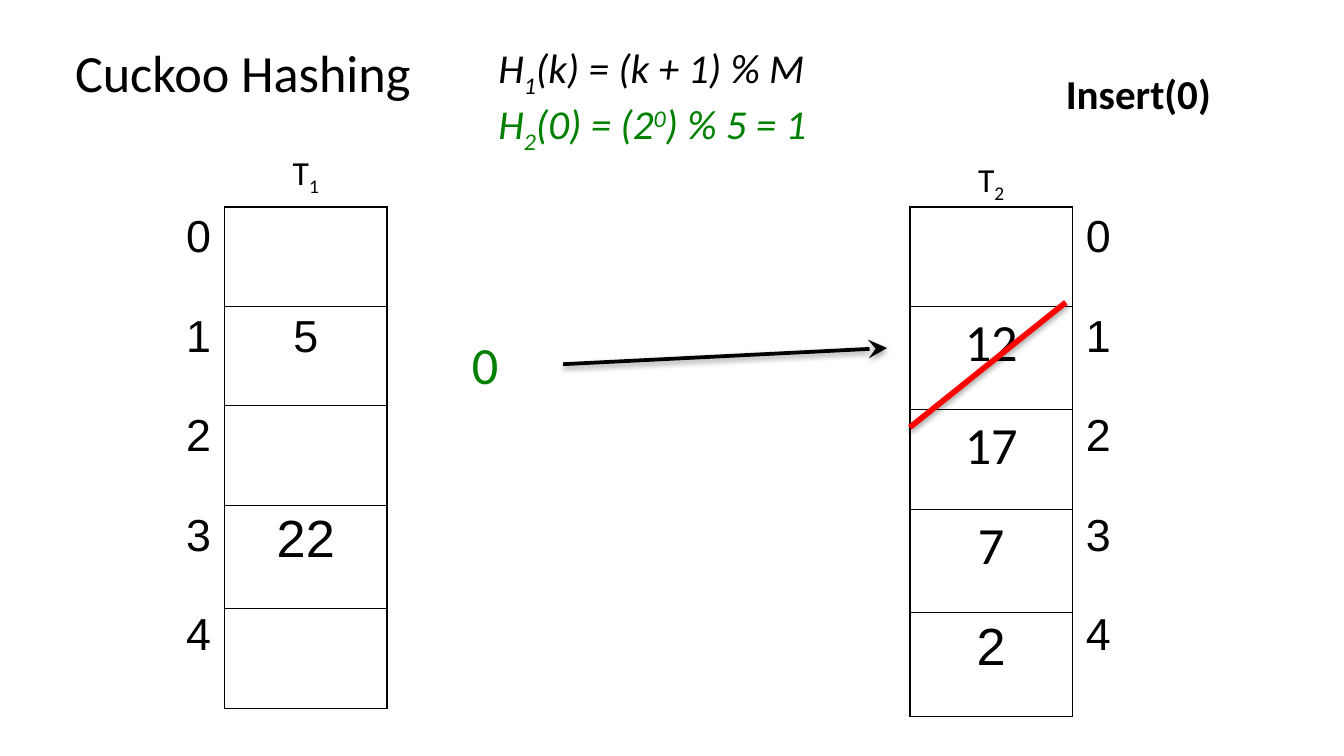
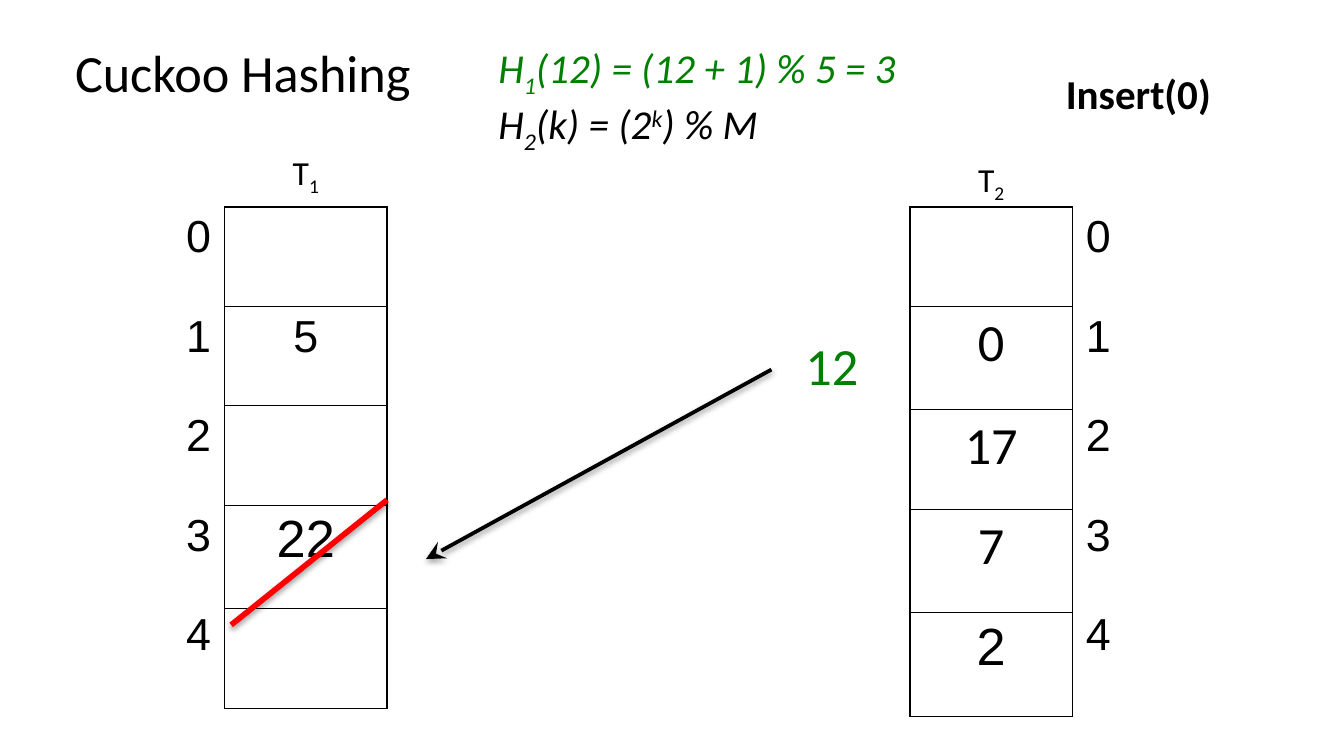
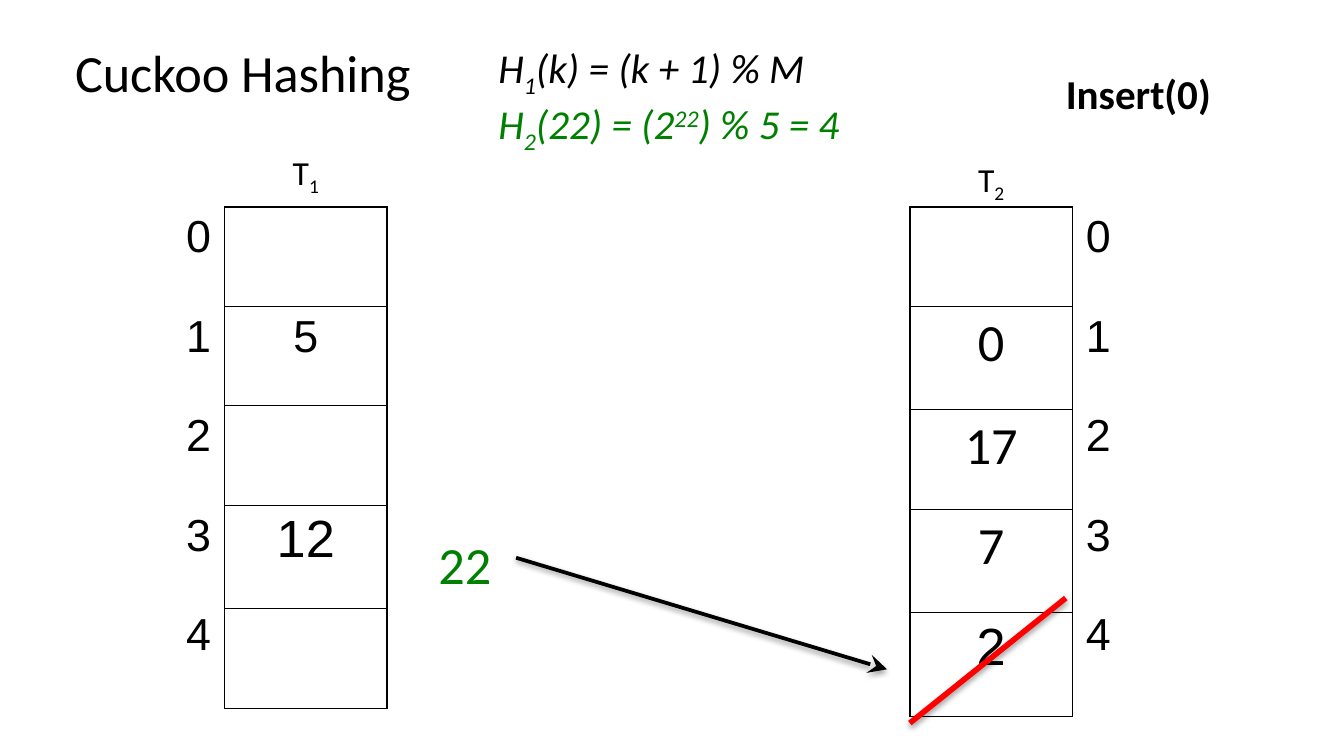
from dataclasses import dataclass

from lxml import etree
from pptx import Presentation
from pptx import util as u
from pptx.dml.color import RGBColor
from pptx.enum import shapes, text
from pptx.oxml import parse_xml
from pptx.oxml.ns import nsdecls, qn

PX = u.Inches(1) // 100  # one px is a hundredth of an inch
BLACK = RGBColor(0x00, 0x00, 0x00)
GREEN = RGBColor(0x00, 0x80, 0x00)
RED = RGBColor(0xFF, 0x00, 0x00)
BODY, DIGITS = "Calibri", "Arial"
LEFT, CENTER, RIGHT = text.PP_ALIGN.LEFT, text.PP_ALIGN.CENTER, text.PP_ALIGN.RIGHT
SUB, SUPER = -25000, 30000

COLUMN_WIDTH, TABLE_TOP = 121, 154
ROW, TALL_ROW = 74, 77
T1_LEFT, T2_LEFT = 167, 677
T1_ROWS = [ROW, ROW, ROW, TALL_ROW, ROW]
T2_ROWS = [ROW, TALL_ROW, ROW, TALL_ROW, TALL_ROW]
T1_FONTS = [(24, DIGITS)] * 3 + [(28, DIGITS)] * 2
T2_FONTS = [(28, BODY)] * 4 + [(28, DIGITS)]
INDEX_ROWS, INDEX_FONTS = [ROW] * 5, [(24, DIGITS)] * 5
INDICES = ["0", "1", "2", "3", "4"]
CROSS_WIDTH, CROSS_HEIGHT = 116, 93


@dataclass
class Step:
    first_hash: list
    second_hash: list
    active_hash: int
    first_table: list
    second_table: list
    moving_key: str
    key_at: tuple
    arrow: tuple
    cross_at: tuple  # top right corner


def first_hash(argument, result):
    return [("H", 0), ("1", SUB), (f"({argument}) = ({argument} + 1) % {result}", 0)]


def second_hash(argument, result):
    return [("H", 0), ("2", SUB), (f"({argument}) = (2", 0),
            (argument, SUPER), (f") % {result}", 0)]


STEPS = [
    Step(first_hash("k", "M"), second_hash("0", "5 = 1"), 2,
         ["", "5", "", "22", ""], ["", "12", "17", "7", "2"],
         "0", (303, 242), (419, 271, 660, 259), (793, 225)),
    Step(first_hash("12", "5 = 3"), second_hash("k", "M"), 1,
         ["", "5", "", "22", ""], ["", "0", "17", "7", "2"],
         "12", (561, 243), (574, 275, 317, 416), (288, 372)),
    Step(first_hash("k", "M"), second_hash("22", "5 = 4"), 2,
         ["", "5", "", "12", ""], ["", "0", "17", "7", "2"],
         "22", (288, 391), (384, 415, 660, 498), (793, 445)),
]


def write(para, spans, size, font=BODY, color=BLACK, align=LEFT, bold=False, italic=False):
    para.alignment = align
    para.font.size, para.font.name = u.Pt(size), font
    para.font.bold, para.font.italic = bold, italic
    para.font.color.rgb = color
    for words, baseline in spans:
        span = para.add_run()
        span.text = words
        if baseline:
            span.font._element.set("baseline", str(baseline))


def add_label(page, box, lines, size, colors=(BLACK,), **style):
    """Place a text box with one paragraph for each list of spans."""
    frame = page.shapes.add_textbox(*(n * PX for n in box)).text_frame
    frame.word_wrap = True
    for number, (spans, color) in enumerate(zip(lines, colors)):
        para = frame.add_paragraph() if number else frame.paragraphs[0]
        write(para, spans, size, color=color, **style)


def set_borders(cell, visible):
    properties = cell._tc.get_or_add_tcPr()
    for position, side in enumerate(("lnL", "lnR", "lnT", "lnB")):
        border = etree.Element(qn(f"a:{side}"), w=str(u.Pt(0.75)))
        if visible:
            fill = etree.SubElement(border, qn("a:solidFill"))
            etree.SubElement(fill, qn("a:srgbClr"), val=str(BLACK))
        else:
            etree.SubElement(border, qn("a:noFill"))
        properties.insert(position, border)


def add_column(page, left, heights, values, fonts, align=CENTER, bordered=True):
    """Place a one-column table of slots or of slot numbers."""
    box = (left, TABLE_TOP, COLUMN_WIDTH, sum(heights))
    table = page.shapes.add_table(len(values), 1, *(n * PX for n in box)).table
    table.first_row = table.horz_banding = False
    for number, (height, value, (size, font)) in enumerate(zip(heights, values, fonts)):
        table.rows[number].height = height * PX
        cell = table.cell(number, 0)
        cell.margin_top = cell.margin_bottom = 4 * PX
        cell.fill.background()
        set_borders(cell, bordered)
        if value:
            write(cell.text_frame.paragraphs[0], [(value, 0)], size, font, align=align)


def add_line(page, ends, color, width, arrow=False):
    line = page.shapes.add_connector(shapes.MSO_CONNECTOR.STRAIGHT, *(n * PX for n in ends))
    line.line.color.rgb = color
    line.line.width = u.Pt(width)
    if arrow:
        etree.SubElement(line.line._get_or_add_ln(), qn("a:tailEnd"),
                         type="stealth", w="lg", len="lg")
    # soft shadow below the line
    line._element.spPr.append(parse_xml(
        f'<a:effectLst {nsdecls("a")}>'
        '<a:outerShdw blurRad="40000" dist="20000" dir="5400000" rotWithShape="0">'
        '<a:srgbClr val="000000"><a:alpha val="38000"/></a:srgbClr>'
        '</a:outerShdw></a:effectLst>'))


def add_header(page, step):
    colors = [GREEN if step.active_hash == number else BLACK for number in (1, 2)]
    add_label(page, (361, 27, 350, 84), [step.first_hash, step.second_hash], 22,
              colors, italic=True)
    add_label(page, (46, 25, 271, 57), [[("Cuckoo Hashing", 0)]], 28)
    add_label(page, (765, 46, 164, 47), [[("Insert(0)", 0)]], 22, align=CENTER, bold=True)


def add_tables(page, step):
    add_column(page, T1_LEFT, T1_ROWS, step.first_table, T1_FONTS)
    add_column(page, T1_LEFT - COLUMN_WIDTH, INDEX_ROWS, INDICES, INDEX_FONTS, RIGHT, False)
    add_column(page, T2_LEFT, T2_ROWS, step.second_table, T2_FONTS)
    add_column(page, T2_LEFT + COLUMN_WIDTH, INDEX_ROWS, INDICES, INDEX_FONTS, LEFT, False)
    for number, left, top in (("1", T1_LEFT, 108), ("2", T2_LEFT, 113)):
        add_label(page, (left, top, COLUMN_WIDTH, 40), [[("T", 0), (number, SUB)]], 18,
                  align=CENTER)


def add_move(page, step):
    """Show the key on the move and strike out the key it evicts."""
    add_label(page, (*step.key_at, 116, 57), [[(step.moving_key, 0)]], 28, (GREEN,),
              align=CENTER)
    right, top = step.cross_at
    add_line(page, (right, top, right - CROSS_WIDTH, top + CROSS_HEIGHT), RED, 3)
    add_line(page, step.arrow, BLACK, 2, arrow=True)


def main():
    deck = Presentation()
    deck.slide_width, deck.slide_height = u.Inches(10), u.Inches(10) * 9 // 16
    for step in STEPS:
        page = deck.slides.add_slide(deck.slide_layouts[6])
        add_header(page, step)
        add_tables(page, step)
        add_move(page, step)
    deck.save("out.pptx")


if __name__ == "__main__":
    main()
